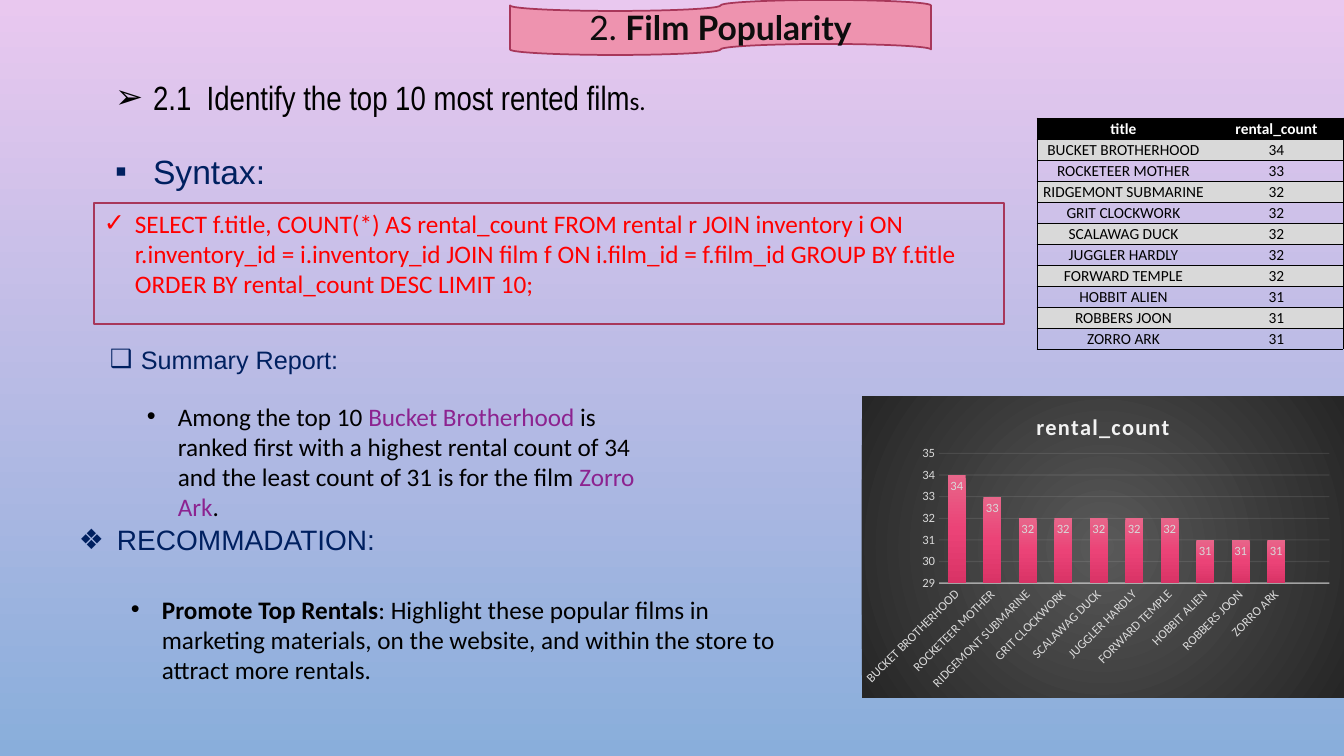
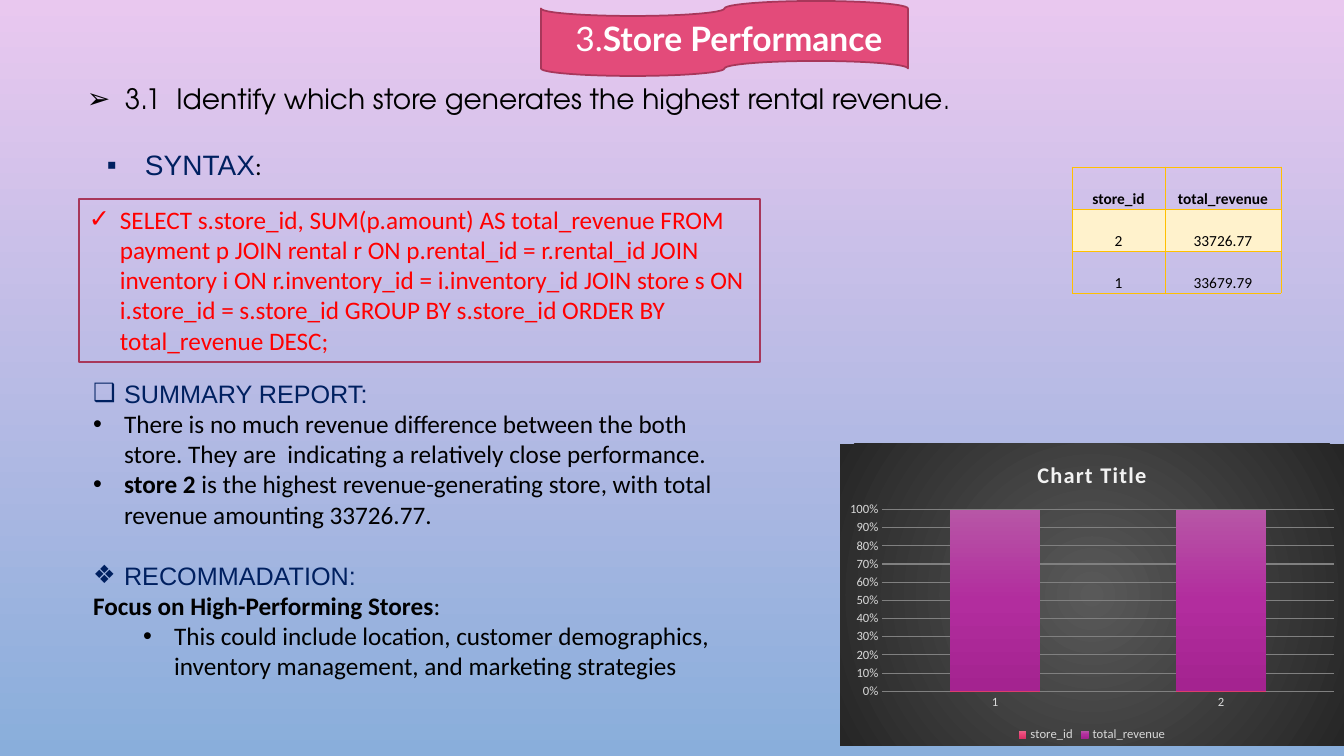
from lxml import etree
from pptx import Presentation, util as u
from pptx.chart.data import CategoryChartData
from pptx.dml.color import RGBColor
from pptx.enum import chart as charts, shapes, text
from pptx.oxml import parse_xml
from pptx.oxml.ns import nsdecls, qn

PX = 914400 / 100.8
BLACK, NAVY, RED, PLUM, LIGHT = "000000", "002060", "FF0000", "8C2390", "D9D9D9"
EDGE = "A8375A"
BODY = (18, "Calibri", BLACK, False)
STRONG = (18, "Calibri", BLACK, True)
ACCENT = (18, "Calibri", PLUM, False)
QUERY = (18, "Calibri", RED, False)
LABEL = (18, "Arial", NAVY, False)
LABEL_20 = (20, "Arial", NAVY, False)
PINKS = ["E8668A", "EB4377", "D93366"]
PURPLES = ["B756A6", "B22D9E", "A42390"]
NO_STYLE = "{2D5ABB26-0587-4C30-8999-92F81FD0307C}"
LINEAR = '<a:lin ang="5400000" scaled="0"/>'
RADIAL = '<a:path path="circle"><a:fillToRect l="50000" t="50000" r="50000" b="50000"/></a:path>'


def style(font, size, name, color, bold=False):
    font.size, font.name, font.bold = u.Pt(size), name, bold
    font.color.rgb = RGBColor.from_string(color)


def gradient(colors, direction):
    step = 100000 // (len(colors) - 1)
    stops = "".join(f'<a:gs pos="{i * step}"><a:srgbClr val="{color}"/></a:gs>' for i, color in enumerate(colors))
    return parse_xml(f'<a:gradFill {nsdecls("a")}><a:gsLst>{stops}</a:gsLst>{direction}</a:gradFill>')


films = [
    ("BUCKET BROTHERHOOD", 34), ("ROCKETEER MOTHER", 33), ("RIDGEMONT SUBMARINE", 32),
    ("GRIT CLOCKWORK", 32), ("SCALAWAG DUCK", 32), ("JUGGLER HARDLY", 32),
    ("FORWARD TEMPLE", 32), ("HOBBIT ALIEN", 31), ("ROBBERS JOON", 31), ("ZORRO ARK", 31),
]

pages = [
    {
        "title": [("2. ", False), ("Film Popularity", True)],
        "title_color": "0D0D0D",
        "banner": (510, 0, 421, 55),
        "banner_fill": "EE93AF",
        "frame": (94, 203, 910, 121),
        "body": ((105, 72, 1231, 156), [
            ("➢", 38, 0, 0, [("2.1  Identify the top 10 most rented film", (24, "Arial Narrow", BLACK, False)), ("s.", BODY)]),
            ("▪", 38, 0, 24, [("Syntax:", (24, "Arial", NAVY, False))]),
        ]),
        "boxes": [
            ((94, 203, 875, 132), [("✓", 31, 0, 0, [(
                "SELECT f.title, COUNT(*) AS rental_count FROM rental r JOIN inventory i ON "
                "r.inventory_id = i.inventory_id JOIN film f ON i.film_id = f.film_id "
                "GROUP BY f.title ORDER BY rental_count DESC LIMIT 10;", QUERY)])]),
            ((0, 339, 768, 40), [("❑", 31, 2, 0, [("Summary Report:", LABEL)])]),
            ((137, 396, 518, 132), [("•", 31, 0, 0, [
                ("Among the top 10 ", BODY), ("Bucket Brotherhood ", ACCENT),
                ("is ranked first with a highest rental count of 34 and the least count of 31 is for the film ", BODY),
                ("Zorro Ark", ACCENT), (".", BODY)])]),
            ((69, 518, 366, 44), [("❖", 38, 0, 0, [("RECOMMADATION:", LABEL_20)])]),
            ((121, 589, 691, 102), [("•", 31, 0, 0, [
                ("Promote Top Rentals", STRONG),
                (": Highlight these popular films in marketing materials, on the website, "
                 "and within the store to attract more rentals.", BODY)])]),
        ],
        "table": {
            "at": (1037, 118), "columns": [173, 133], "row": 21, "edge": BLACK, "weight": 0.5, "inner": False,
            "head": BLACK, "head_text": "FFFFFF", "band": LIGHT,
            "rows": [("title", "rental_count")] + films,
        },
        "chart": {
            "at": (862, 396, 482, 302), "kind": charts.XL_CHART_TYPE.COLUMN_CLUSTERED,
            "title": "rental_count", "categories": [film for film, count in films] + [""],
            "series": [("rental_count", [count for film, count in films] + [None], PINKS)],
            "gap": 100, "overlap": -24, "grid": "F2F2F2",
        },
    },
    {
        "title": [(" 3.", False), ("Store Performance", True)],
        "title_color": "FFFFFF",
        "banner": (541, 1, 367, 75),
        "banner_fill": "E34B7A",
        "frame": (79, 199, 681, 163),
        "body": ((83, 373, 642, 346), [
            ("❑", 31, 0, 0, [("SUMMARY REPORT:", LABEL)]),
            ("•", 31, 0, 0, [("There is no much revenue difference between the both  store. "
                              "They are  indicating a relatively close performance.", BODY)]),
            ("•", 31, 0, 0, [("store 2", STRONG), (" is the highest revenue-generating store, "
                                                   "with total revenue amounting 33726.77.", BODY)]),
            ("❖", 31, 0, 22, [("RECOMMADATION:", LABEL)]),
            (None, 0, 0, 0, [("Focus on High-Performing Stores", STRONG), (":", BODY)]),
            ("•", 31, 1, 0, [("This could include location, customer demographics, "
                              "inventory management, and marketing strategies", BODY)]),
        ]),
        "boxes": [
            ((77, 77, 928, 44), [("➢", 38, 0, 0, [
                ("3.1  Identify which store generates the highest rental revenue", (20, "TeX Gyre Adventor", BLACK, False)),
                (".", (18, "TeX Gyre Adventor", BLACK, False))])]),
            ((97, 143, 423, 44), [("▪", 38, 0, 0, [("SYNTAX", LABEL_20), (":", BODY)])]),
            ((79, 199, 707, 163), [("✓", 31, 0, 0, [(
                "SELECT s.store_id, SUM(p.amount) AS total_revenue FROM payment p JOIN rental r ON "
                "p.rental_id = r.rental_id JOIN inventory i ON r.inventory_id = i.inventory_id "
                "JOIN store s ON i.store_id = s.store_id GROUP BY s.store_id "
                "ORDER BY total_revenue DESC;", QUERY)])]),
        ],
        "table": {
            "at": (1072, 167), "columns": [93, 116], "row": 42, "edge": "FFC000", "weight": 0.75, "inner": True,
            "head": None, "head_text": BLACK, "band": "FFF2CC",
            "rows": [("store_id", "total_revenue"), (2, 33726.77), (1, 33679.79)],
        },
        "chart": {
            "at": (840, 444, 504, 302), "kind": charts.XL_CHART_TYPE.COLUMN_STACKED_100,
            "title": "Chart Title", "categories": ["1", "2"],
            "series": [("store_id", [0, 0], PINKS), ("total_revenue", [100, 100], PURPLES)],
            "gap": 150, "overlap": 100, "grid": "808080",
        },
    },
]

deck = Presentation()
deck.slide_width, deck.slide_height = u.Emu(round(1344 * PX)), u.Emu(round(756 * PX))
backdrop = deck.slide_master.background.fill
backdrop.gradient()
backdrop.gradient_angle = 270
for stop, color in zip(backdrop.gradient_stops, ["E9C8EF", "89AEDB"]):
    stop.color.rgb = RGBColor.from_string(color)

for plan in pages:
    page = deck.slides.add_slide(deck.slide_layouts[1])
    banner_at = [round(n * PX) for n in plan["banner"]]
    frame_at = [round(n * PX) for n in plan["frame"]]
    banner = page.shapes.add_shape(shapes.MSO_SHAPE.FLOWCHART_PUNCHED_TAPE, *banner_at)
    frame = page.shapes.add_shape(shapes.MSO_SHAPE.RECTANGLE, *frame_at)
    banner.fill.solid()
    banner.fill.fore_color.rgb = RGBColor.from_string(plan["banner_fill"])
    frame.fill.background()
    for shape in (frame, banner):
        shape.shadow.inherit = False
        shape.line.color.rgb = RGBColor.from_string(EDGE)
        shape.line.width = u.Pt(1.25)
        page.shapes._spTree.insert(2, shape._element)

    title = page.shapes.title
    title.left, title.top, title.width, title.height = banner_at
    title.text_frame.auto_size = text.MSO_AUTO_SIZE.NONE
    title.text_frame.vertical_anchor = text.MSO_ANCHOR.MIDDLE
    heading = title.text_frame.paragraphs[0]
    heading.alignment = text.PP_ALIGN.CENTER
    for words, bold in plan["title"]:
        span = heading.add_run()
        span.text = words
        style(span.font, 24, "Lato", plan["title_color"], bold)

    blocks = [(page.placeholders[1], plan["body"])]
    blocks += [(page.shapes.add_textbox(0, 0, 0, 0), block) for block in plan["boxes"]]
    for box, (place, paragraphs) in blocks:
        box.left, box.top, box.width, box.height = [round(n * PX) for n in place]
        box.text_frame.word_wrap = True
        box.text_frame.auto_size = text.MSO_AUTO_SIZE.NONE
        for number, (bullet, hang, level, before, spans) in enumerate(paragraphs):
            para = box.text_frame.add_paragraph() if number else box.text_frame.paragraphs[0]
            para.level = level
            para.space_before = u.Pt(before)
            properties = para._p.get_or_add_pPr()
            properties.set("marL", str(round((hang + level * 50) * PX)))
            properties.set("indent", str(round(-hang * PX)))
            if bullet:
                etree.SubElement(properties, qn("a:buFont")).set("typeface", "Arial")
                etree.SubElement(properties, qn("a:buChar")).set("char", bullet)
            else:
                etree.SubElement(properties, qn("a:buNone"))
            for words, look in spans:
                span = para.add_run()
                span.text = words
                style(span.font, *look)

    grid = plan["table"]
    rows, columns = grid["rows"], grid["columns"]
    size = (sum(columns), grid["row"] * len(rows))
    table = page.shapes.add_table(len(rows), len(columns), *[round(n * PX) for n in grid["at"] + size]).table
    table.first_row = table.horz_banding = False
    table._tbl.xpath("a:tblPr/a:tableStyleId")[0].text = NO_STYLE
    for column, width in zip(table.columns, columns):
        column.width = round(width * PX)
    for r, values in enumerate(rows):
        table.rows[r].height = round(grid["row"] * PX)
        fill = grid["band"] if r % 2 else None
        if r == 0:
            fill = grid["head"]
        for c, value in enumerate(values):
            cell = table.cell(r, c)
            cell.margin_left = cell.margin_right = cell.margin_top = round(PX)
            cell.margin_bottom = 0
            cell.vertical_anchor = text.MSO_ANCHOR.BOTTOM
            cell.text_frame.text = str(value)
            para = cell.text_frame.paragraphs[0]
            para.alignment = text.PP_ALIGN.CENTER
            style(para.runs[0].font, 11, "Calibri", BLACK if r else grid["head_text"], r == 0)
            for side in "LRTB":
                if grid["inner"] or side in "TB" or side == "LR"[c]:
                    cell._tc.get_or_add_tcPr().append(parse_xml(
                        f'<a:ln{side} {nsdecls("a")} w="{u.Pt(grid["weight"])}"><a:solidFill>'
                        f'<a:srgbClr val="{grid["edge"]}"/></a:solidFill></a:ln{side}>'))
            if fill:
                cell.fill.solid()
                cell.fill.fore_color.rgb = RGBColor.from_string(fill)
            else:
                cell.fill.background()

    graph = plan["chart"]
    data = CategoryChartData()
    data.categories = graph["categories"]
    for name, values, colors in graph["series"]:
        data.add_series(name, values)
    chart = page.shapes.add_chart(graph["kind"], *[round(n * PX) for n in graph["at"]], data).chart
    style(chart.font, 10, "Calibri", BLACK)
    chart.has_title = True
    chart.chart_title.include_in_layout = False
    chart.chart_title.text_frame.text = graph["title"]
    span = chart.chart_title.text_frame.paragraphs[0].runs[0]
    style(span.font, 16, "Calibri", "F2F2F2", True)
    span._r.get_or_add_rPr().set("spc", "100")
    surface = parse_xml(f'<c:spPr {nsdecls("c", "a")}/>')
    surface.append(gradient(["595959", "262626"], RADIAL))
    etree.SubElement(etree.SubElement(surface, qn("a:ln")), qn("a:noFill"))
    chart._chartSpace.xpath("c:chart")[0].addnext(surface)

    plot = chart.plots[0]
    plot.gap_width, plot.overlap, plot.vary_by_categories = graph["gap"], graph["overlap"], False
    for series, (name, values, colors) in zip(plot.series, graph["series"]):
        series.invert_if_negative = False
        series._element.get_or_add_spPr().append(gradient(colors, LINEAR))
    for axis in (chart.category_axis, chart.value_axis):
        axis.major_tick_mark = axis.minor_tick_mark = charts.XL_TICK_MARK.NONE
        style(axis.tick_labels.font, 9, "Calibri", LIGHT)
        axis.format.line.fill.background()
    rules = chart.value_axis.major_gridlines.format.line
    rules.color.rgb = RGBColor.from_string(graph["grid"])
    rules.width = u.Pt(0.75)

    chart.has_legend = len(graph["series"]) > 1
    if chart.has_legend:
        chart.legend.position = charts.XL_LEGEND_POSITION.BOTTOM
        chart.legend.include_in_layout = False
        style(chart.legend.font, 9, "Calibri", LIGHT)
        chart.value_axis.tick_labels.number_format = "0%"
        chart.value_axis.tick_labels.number_format_is_linked = False
    else:
        chart.value_axis.minimum_scale, chart.value_axis.maximum_scale = 29, 35
        chart.value_axis.major_unit = 1
        base = chart.category_axis.format.line
        base.color.rgb = RGBColor.from_string("F2F2F2")
        base.width = u.Pt(1)
        for place, alpha in (("c:valAx/c:majorGridlines", 10), ("c:catAx/c:spPr", 54)):
            tint = chart._chartSpace.xpath(f".//{place}//a:srgbClr")[0]
            etree.SubElement(tint, qn("a:alpha")).set("val", str(alpha * 1000))
        chart.category_axis._element.xpath("c:txPr/a:bodyPr")[0].set("rot", "-2700000")
        plot.has_data_labels = True
        labels = plot.data_labels
        labels.show_value = True
        labels.position = charts.XL_LABEL_POSITION.INSIDE_END
        style(labels.font, 9, "Calibri", LIGHT)
        area = chart._chartSpace.xpath("c:chart/c:plotArea")[0]
        for layout in area.xpath("c:layout"):
            area.remove(layout)
        layout = parse_xml(f'<c:layout {nsdecls("c")}><c:manualLayout/></c:layout>')
        settings = [("layoutTarget", "inner"), ("xMode", "edge"), ("yMode", "edge"),
                    ("x", "0.16"), ("y", "0.19"), ("w", "0.81"), ("h", "0.43")]
        for name, value in settings:
            etree.SubElement(layout[0], qn(f"c:{name}")).set("val", value)
        area.insert(0, layout)

deck.save("out.pptx")
